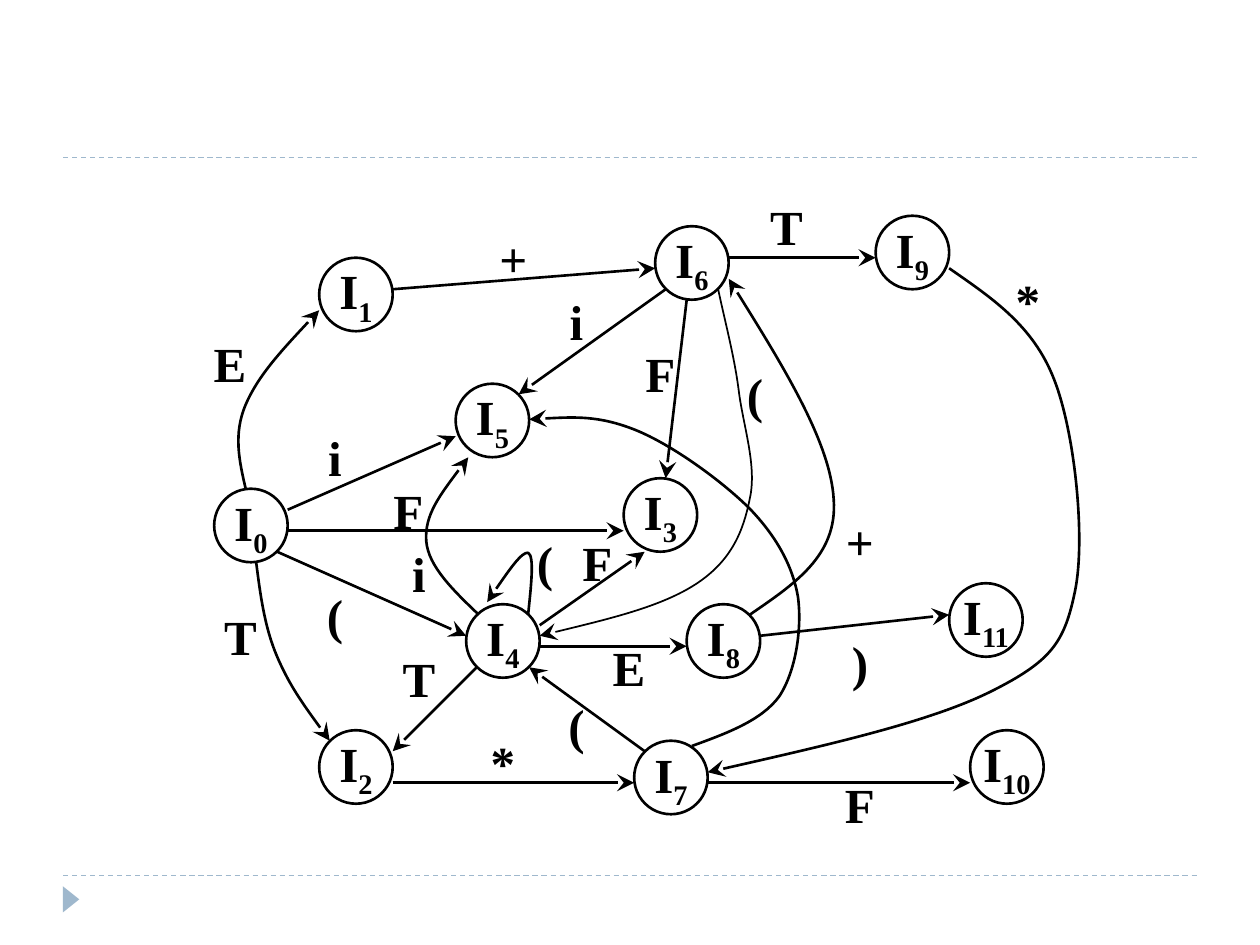
from typing import NamedTuple

import pptx
import pptx.dml.color
import pptx.enum.dml
import pptx.enum.shapes
import pptx.enum.text
import pptx.oxml
import pptx.oxml.ns
import pptx.util

INK = "000000"
ACCENT = "9FB8CD"
STEP = 6
ORIGIN = (2.4, 3.3)
SIDE = 7

Point = tuple[float, float]


class State(NamedTuple):
    number: str
    column: float
    row: float


class Arrow(NamedTuple):
    start: Point
    end: Point


class Curve(NamedTuple):
    points: list[Point]
    weight: float = 1.5


class Label(NamedTuple):
    symbol: str
    column: float
    row: float
    rows: float = 6


STATES = [
    State("0", 20, 46), State("1", 30, 24), State("2", 30, 69),
    State("3", 59, 45), State("4", 44, 57), State("5", 43, 36),
    State("6", 62, 21), State("7", 60, 70), State("8", 65, 57),
    State("9", 83, 20), State("10", 92, 69), State("11", 90, 55),
]

ARROWS = [
    Arrow((27, 48), (43, 41)), Arrow((27, 50), (59, 50)),
    Arrow((26, 52), (44, 60)), Arrow((45, 63), (37, 71)),
    Arrow((61, 71), (50, 63)), Arrow((37, 74), (60, 74)),
    Arrow((67, 74), (92, 74)), Arrow((37, 27), (62, 25)),
    Arrow((69, 24), (83, 24)), Arrow((51, 59), (61, 52)),
    Arrow((51, 61), (65, 61)), Arrow((63, 27), (49, 37)),
    Arrow((65, 28), (63, 45)), Arrow((72, 60), (90, 58)),
]

CURVES = [
    Curve([(23, 46), (22.4, 43.4), (21.8, 40.8), (23, 38),
           (24.2, 35.2), (27.1, 32.1), (30, 29)]),
    Curve([(24, 53), (24.4, 56.1), (24.8, 59.2), (26, 62),
           (27.2, 64.8), (29.1, 67.4), (31, 70)]),
    Curve([(45.2, 58), (42.8, 55.7), (40.4, 53.4), (40.2, 51),
           (40, 48.5), (42.1, 45.8), (44.2, 43)]),
    Curve([(49.9, 58), (50.2, 55.1), (50.5, 52.4), (49.9, 52.1),
           (49.3, 52), (47.6, 54.4), (46, 56.8)]),
    Curve([(65.5, 70.5), (68.8, 69.3), (72.1, 68.1), (73.8, 65.8),
           (75.4, 63.4), (76, 59.3), (75.6, 56.3),
           (75.1, 53.4), (73.6, 50.6), (71, 47.9),
           (68.4, 45.3), (63.6, 41.8), (60.1, 40.4),
           (56.6, 39), (53.2, 39.2), (50, 39.4)]),
    Curve([(71, 58), (75.2, 55.1), (79.4, 52.4), (79, 47),
           (78.7, 41.7), (73.9, 33.8), (69, 26)]),
    Curve([(90, 25), (94, 27.8), (98, 30.4), (100, 35.6),
           (102, 40.7), (103, 50.8), (102, 55.7),
           (101, 60.6), (99.8, 62.4), (94, 65.3),
           (88.2, 68.2), (77.6, 70.6), (67, 73)]),
    Curve([(68, 27), (68.7, 30.3), (69.6, 33.6), (70, 37),
           (70.5, 40.4), (71.7, 44), (71, 47),
           (70.4, 50), (69.3, 52.8), (66, 55),
           (62.7, 57.2), (56.8, 58.6), (51, 60)], 1),
]

LABELS = [
    Label("E", 18, 31), Label("+", 45, 21), Label("T", 71, 18),
    Label("*", 94, 25), Label("T", 19, 57), Label("T", 36, 61),
    Label("i", 28, 40), Label("F", 35, 45), Label("(", 28, 55),
    Label("i", 36, 51), Label("(", 48, 50), Label("F", 53, 50),
    Label("E", 56, 60), Label("(", 68, 34), Label("F", 59, 32),
    Label("i", 51, 27), Label("+", 78, 48), Label("F", 78, 73),
    Label("*", 44, 70, 4), Label("(", 51, 66, 5), Label(")", 78, 60, 5),
]


def color(value: str) -> pptx.dml.color.RGBColor:
    return pptx.dml.color.RGBColor.from_string(value)


def place(column: float, row: float) -> tuple[int, int]:
    return (pptx.util.Pt(ORIGIN[0] + STEP * column),
            pptx.util.Pt(ORIGIN[1] + STEP * row))


def stroke(shape, value: str = INK, weight: float = 1.5) -> None:
    shape.line.color.rgb = color(value)
    shape.line.width = pptx.util.Pt(weight)


def add_arrowhead(shape) -> None:
    outline = shape.line._get_or_add_ln()
    outline.append(pptx.oxml.parse_xml(
        f'<a:tailEnd {pptx.oxml.ns.nsdecls("a")} type="stealth" w="lg" len="lg"/>'))


def add_line(page, start: tuple[int, int], end: tuple[int, int]):
    line = page.shapes.add_connector(
        pptx.enum.shapes.MSO_CONNECTOR.STRAIGHT, *start, *end)
    line._element.spPr.append(pptx.oxml.parse_xml(
        f'<a:effectLst {pptx.oxml.ns.nsdecls("a")}/>'))
    return line


def write(box, text: str, subscript: str = "") -> None:
    frame = box.text_frame
    frame.word_wrap = False
    frame.vertical_anchor = pptx.enum.text.MSO_ANCHOR.MIDDLE
    para = frame.paragraphs[0]
    para.alignment = pptx.enum.text.PP_ALIGN.CENTER
    for content, baseline in ((text, 0), (subscript, -25000)):
        if content:
            span = para.add_run()
            span.text = content
            span.font.name = "Times New Roman"
            span.font.size = pptx.util.Pt(28)
            span.font.bold = True
            span.font.color.rgb = color(INK)
            if baseline:
                span._r.get_or_add_rPr().set("baseline", str(baseline))


def draw_state(page, state: State) -> None:
    size = pptx.util.Pt(SIDE * STEP)
    circle = page.shapes.add_shape(
        pptx.enum.shapes.MSO_SHAPE.OVAL, *place(state.column, state.row), size, size)
    circle.shadow.inherit = False
    circle.fill.background()
    stroke(circle)
    write(circle, "I", state.number)


def draw_arrow(page, arrow: Arrow) -> None:
    line = add_line(page, place(*arrow.start), place(*arrow.end))
    stroke(line)
    add_arrowhead(line)


def draw_curve(page, curve: Curve) -> None:
    """Draw a chain of cubic segments, three points after the first for each."""
    start, *others = [place(*point) for point in curve.points]
    builder = page.shapes.build_freeform(*start)
    builder.add_line_segments(others, close=False)
    shape = builder.convert_to_shape()
    segments = shape._element.findall(".//" + pptx.oxml.ns.qn("a:lnTo"))
    for first in range(0, len(segments), 3):
        cubic = pptx.oxml.parse_xml(f'<a:cubicBezTo {pptx.oxml.ns.nsdecls("a")}/>')
        segments[first].addprevious(cubic)
        for segment in segments[first:first + 3]:
            cubic.append(segment[0])
            segment.getparent().remove(segment)
    shape.shadow.inherit = False
    shape.fill.background()
    stroke(shape, weight=curve.weight)
    add_arrowhead(shape)


def draw_label(page, label: Label) -> None:
    box = page.shapes.add_textbox(
        *place(label.column, label.row),
        pptx.util.Pt(SIDE * STEP), pptx.util.Pt(label.rows * STEP))
    write(box, label.symbol)


def draw_frame(page) -> None:
    for height in (500.4, 90):
        top = pptx.util.Pt(height)
        rule = add_line(page, (pptx.util.Pt(36), top), (pptx.util.Pt(684), top))
        stroke(rule, ACCENT, 0.75)
        rule.line.dash_style = pptx.enum.dml.MSO_LINE.DASH
    marker = page.shapes.add_shape(
        pptx.enum.shapes.MSO_SHAPE.ISOSCELES_TRIANGLE,
        *(pptx.util.Pt(value) for value in (33.1, 509.2, 15, 9.4)))
    marker.rotation = 90
    marker.shadow.inherit = False
    marker.fill.solid()
    marker.fill.fore_color.rgb = color(ACCENT)
    marker.line.fill.background()


def main() -> None:
    deck = pptx.Presentation()
    deck.slide_width, deck.slide_height = pptx.util.Pt(720), pptx.util.Pt(540)
    page = deck.slides.add_slide(deck.slide_layouts[6])
    draw_frame(page)
    for draw, items in ((draw_state, STATES), (draw_arrow, ARROWS),
                        (draw_curve, CURVES), (draw_label, LABELS)):
        for item in items:
            draw(page, item)
    deck.save("out.pptx")


if __name__ == "__main__":
    main()
